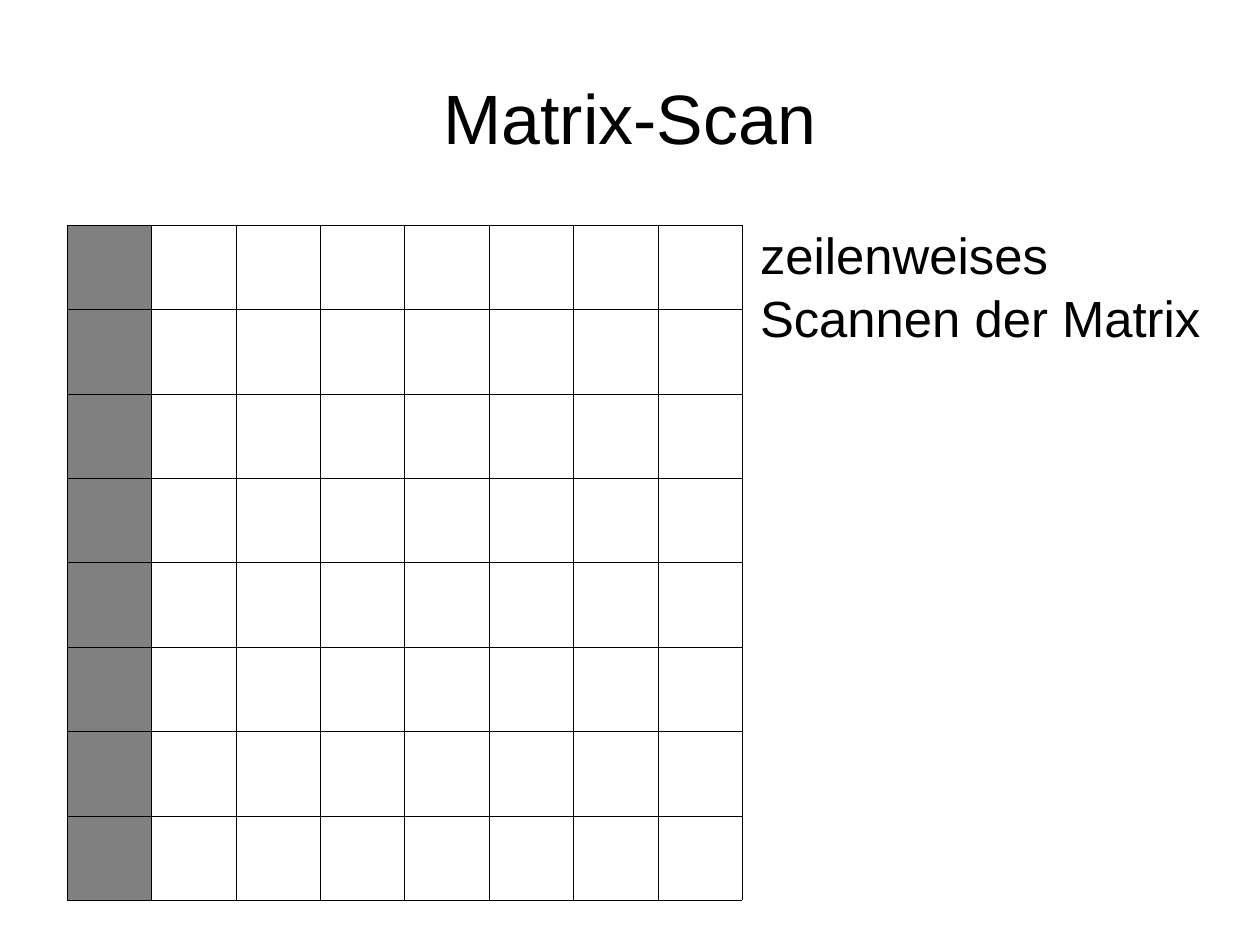
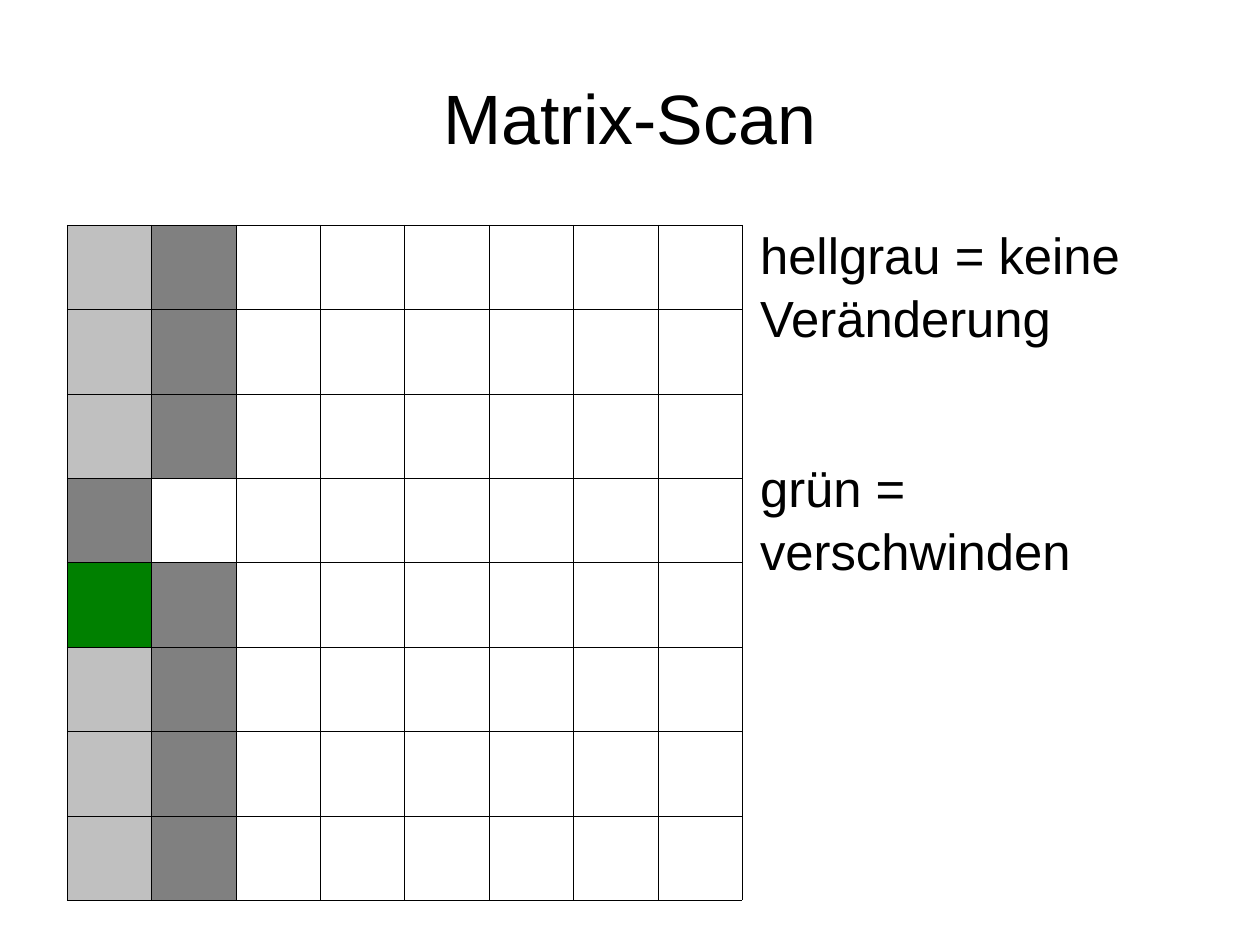
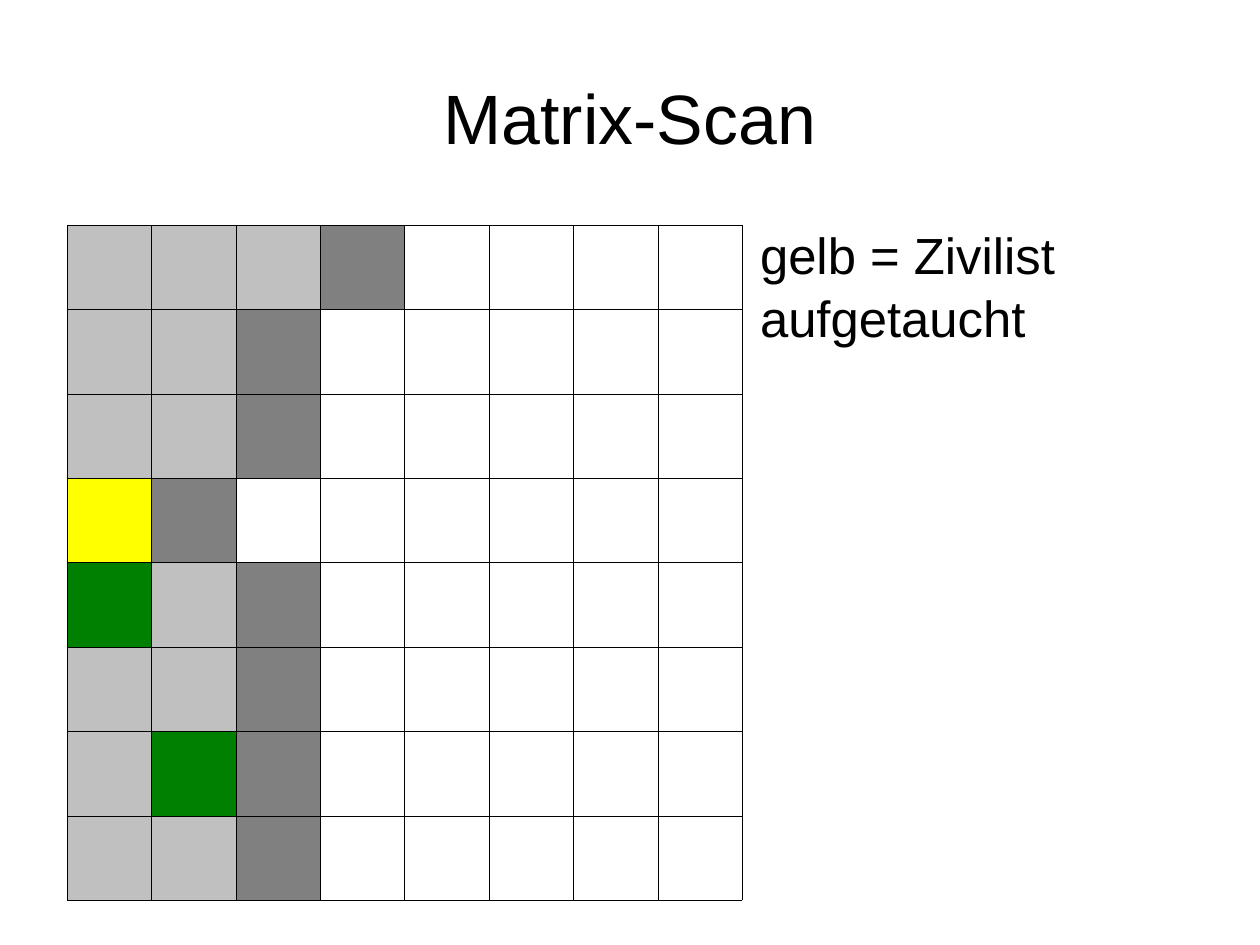
from lxml.etree import SubElement
from pptx import Presentation
from pptx.dml.color import RGBColor
from pptx.enum.text import MSO_ANCHOR as Anchor, MSO_AUTO_SIZE as AutoSize, PP_ALIGN as Align
from pptx.oxml.ns import qn
from pptx.util import Pt

# Lengths in px, 114.3 px to the inch
PX = 8000
SLIDE_SIZE = (1260, 945)
TITLE_BOX = (63, 38, 1134, 157)
GRID_BOX = (67, 225, 675, 675)
NOTE_BOX = (760, 221, 455, 679)

FONT = "Arial"
BLACK = RGBColor(0x00, 0x00, 0x00)
WHITE = RGBColor(0xFF, 0xFF, 0xFF)
GRAY = RGBColor(0x80, 0x80, 0x80)
LIGHT_GRAY = RGBColor(0xC0, 0xC0, 0xC0)
GREEN = RGBColor(0x00, 0x80, 0x00)
YELLOW = RGBColor(0xFF, 0xFF, 0x00)

BORDER_WIDTH = Pt(0.06)
NOTE_GAP = Pt(14.2)
NOTE_LEAD = Pt(52.6)
NOTE_LINE_SPACING = 1.04

# Content: one letter per matrix cell
CELL_FILLS = {".": WHITE, "s": GRAY, "u": LIGHT_GRAY, "g": GREEN, "y": YELLOW}
TITLE = "Matrix-Scan"
SCAN_STEPS = [
    {
        "notes": ["zeilenweises Scannen der Matrix"],
        "matrix": ["s......."] * 8,
    },
    {
        "notes": ["hellgrau = keine Veränderung", "grün = verschwinden"],
        "matrix": ["us......"] * 3 + ["s.......", "gs......"] + ["us......"] * 3,
    },
    {
        "notes": ["gelb = Zivilist aufgetaucht"],
        "matrix": ["uuus....", "uus.....", "uus.....", "ys......",
                   "gus.....", "uus.....", "ugs.....", "uus....."],
    },
]


def to_emu(lengths):
    return [length * PX for length in lengths]


def place(box, bounds, anchor):
    """Move a placeholder and clear its insets."""
    box.left, box.top, box.width, box.height = to_emu(bounds)
    frame = box.text_frame
    frame.margin_left = frame.margin_right = frame.margin_top = frame.margin_bottom = 0
    frame.word_wrap = True
    frame.auto_size = AutoSize.NONE
    frame.vertical_anchor = anchor
    return frame


def add_span(para, text, size):
    span = para.add_run()
    span.text = text
    span.font.name = FONT
    span.font.size = Pt(size)
    span.font.color.rgb = BLACK


def fill_title(box):
    para = place(box, TITLE_BOX, Anchor.MIDDLE).paragraphs[0]
    para.alignment = Align.CENTER
    add_span(para, TITLE, 44)


def fill_notes(box, notes):
    frame = place(box, NOTE_BOX, Anchor.TOP)
    for index, note in enumerate(notes):
        para = frame.add_paragraph() if index else frame.paragraphs[0]
        para.alignment = Align.LEFT
        para.line_spacing = NOTE_LINE_SPACING
        para.space_before = NOTE_LEAD if index else Pt(0)
        para.space_after = NOTE_GAP
        properties = para._p.get_or_add_pPr()
        properties.set("marL", "0")
        properties.set("indent", "0")
        SubElement(properties, qn("a:buNone"))
        add_span(para, note, 32)


def add_borders(cell):
    properties = cell._tc.get_or_add_tcPr()
    for side in ("a:lnL", "a:lnR", "a:lnT", "a:lnB"):
        line = SubElement(properties, qn(side), w=str(BORDER_WIDTH))
        solid = SubElement(line, qn("a:solidFill"))
        SubElement(solid, qn("a:srgbClr"), val=str(BLACK))


def add_matrix(page, matrix):
    rows, columns = len(matrix), len(matrix[0])
    left, top, width, height = to_emu(GRID_BOX)
    table = page.shapes.add_table(rows, columns, left, top, width, height).table
    table.first_row = table.horz_banding = False
    for column in table.columns:
        column.width = width // columns
    for row, states in zip(table.rows, matrix):
        row.height = height // rows
        for cell, state in zip(row.cells, states):
            add_borders(cell)
            cell.fill.solid()
            cell.fill.fore_color.rgb = CELL_FILLS[state]


def main():
    deck = Presentation()
    deck.slide_width, deck.slide_height = to_emu(SLIDE_SIZE)
    for step in SCAN_STEPS:
        page = deck.slides.add_slide(deck.slide_layouts[1])
        fill_title(page.shapes.title)
        add_matrix(page, step["matrix"])
        fill_notes(page.placeholders[1], step["notes"])
    deck.save("out.pptx")


if __name__ == "__main__":
    main()
